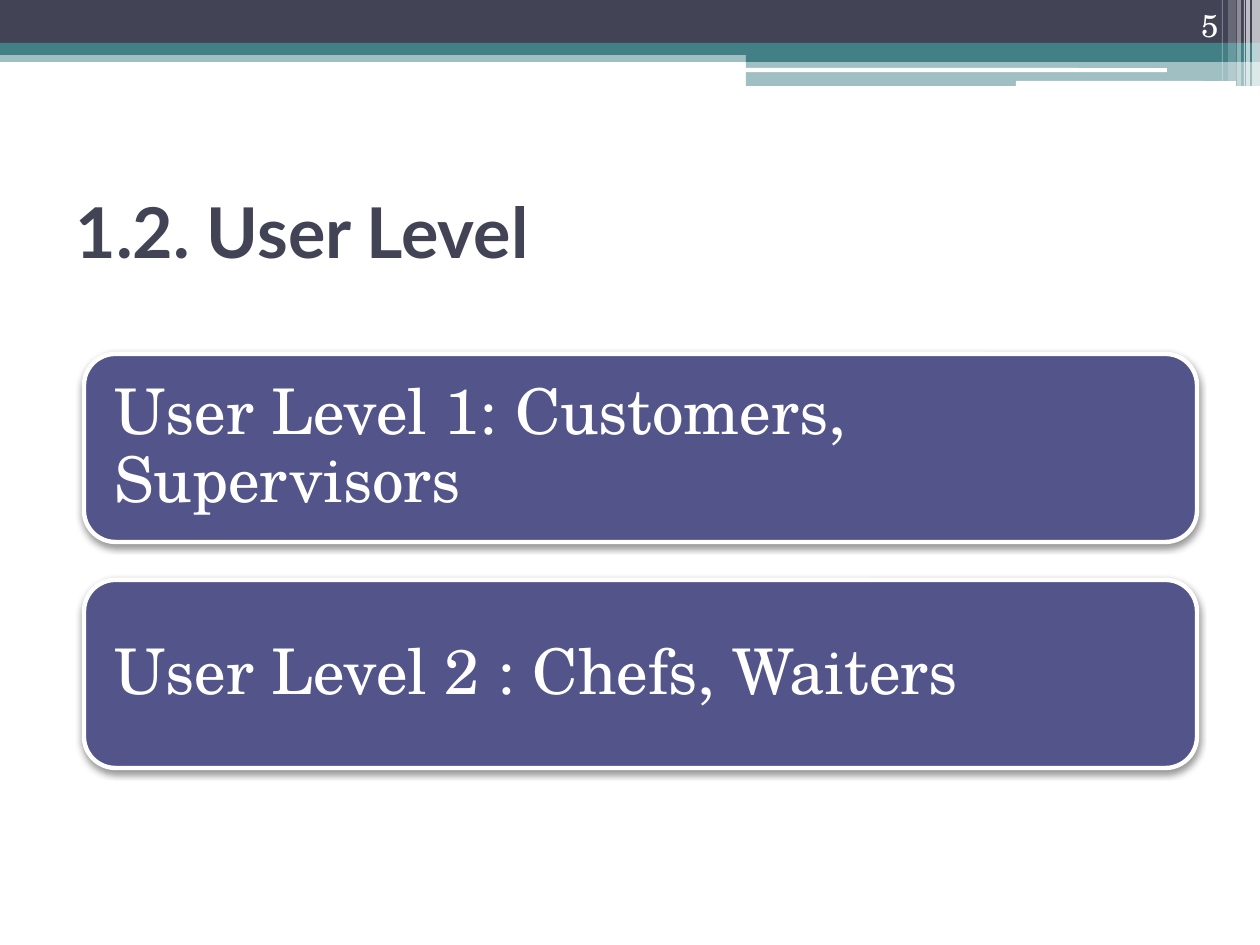
from lxml.etree import SubElement
from pptx import Presentation
from pptx.dml.color import RGBColor
from pptx.enum.shapes import MSO_SHAPE
from pptx.enum.text import MSO_ANCHOR, PP_ALIGN
from pptx.oxml import parse_xml
from pptx.oxml.ns import nsdecls, qn
from pptx.util import Emu, Pt

PX = 914400 / 126
WHITE = RGBColor(0xFF, 0xFF, 0xFF)
SLATE = RGBColor(0x42, 0x44, 0x56)
TEAL = RGBColor(0x43, 0x80, 0x86)
INDIGO = RGBColor(0x53, 0x54, 0x8A)
HEADING_FONT = "Lato"
BODY_FONT = "TeX Gyre Schola"

# Header bands: left, top, width, height, colour, opacity in percent
BANDS = [
    (0, 50, 1260, 12, TEAL, 50),
    (0, 0, 1260, 43, SLATE, 100),
    (0, 43, 1260, 12, TEAL, 100),
    (746, 49, 514, 13, TEAL, 100),
    (746, 61, 514, 25, TEAL, 50),
]
# White rules on the bands: left, top, width, height
RULES = [(745, 68, 422, 4), (1016, 81, 220, 5)]
# Upright stripes at the right edge: left, width, height, opacity
STRIPES = [
    (1252, 8, 86, 65),
    (1246, 4, 86, 65),
    (1244, 1, 86, 60),
    (1237, 4, 86, 40),
    (1228, 8, 81, 20),
    (1222, 1, 81, 30),
]
LEVELS = ["User Level 1: Customers, Supervisors", "User Level 2 : Chefs, Waiters"]


def px(*lengths):
    return [Emu(round(length * PX)) for length in lengths]


def add_block(page, kind, place, colour, opacity=100):
    """Add a filled shape without outline or shadow."""
    block = page.shapes.add_shape(kind, *px(*place))
    block.shadow.inherit = False
    block.fill.solid()
    block.fill.fore_color.rgb = colour
    block.line.fill.background()
    if opacity < 100:
        tint = block.fill._xPr.find(".//" + qn("a:srgbClr"))
        SubElement(tint, qn("a:alpha"), val=str(opacity * 1000))
    return block


def add_span(para, text, font, size, colour, bold=False):
    span = para.add_run()
    span.text = text
    span.font.name = font
    span.font.size = Pt(size)
    span.font.color.rgb = colour
    span.font.bold = bold


def set_margins(frame, across, down):
    frame.margin_left, frame.margin_right = px(across, across)
    frame.margin_top, frame.margin_bottom = px(down, down)


def add_soft_shadow(box):
    effects = box._element.spPr.find(qn("a:effectLst"))
    effects.append(parse_xml(
        f'<a:outerShdw {nsdecls("a")} blurRad="{Pt(4.1)}" dist="{Pt(2)}" '
        'dir="5400000" rotWithShape="0"><a:srgbClr val="000000">'
        '<a:alpha val="40000"/></a:srgbClr></a:outerShdw>'))


def add_header(page):
    for *place, colour, opacity in BANDS:
        add_block(page, MSO_SHAPE.RECTANGLE, place, colour, opacity)
    for place in RULES:
        add_block(page, MSO_SHAPE.ROUNDED_RECTANGLE, place, WHITE)
    for left, width, height, opacity in STRIPES:
        add_block(page, MSO_SHAPE.RECTANGLE, (left, 0, width, height), WHITE, opacity)


def add_title(page, text):
    title = page.shapes.title
    title.left, title.top, title.width, title.height = px(63, 157, 1134, 148)
    frame = title.text_frame
    frame.vertical_anchor = MSO_ANCHOR.MIDDLE
    para = frame.paragraphs[0]
    para.alignment = PP_ALIGN.LEFT
    add_span(para, text, HEADING_FONT, 40, SLATE, bold=True)


def add_page_number(page, text):
    box = page.shapes.add_textbox(*px(1126, 0, 105, 50))
    frame = box.text_frame
    frame.word_wrap = True
    frame.vertical_anchor = MSO_ANCHOR.BOTTOM
    para = frame.paragraphs[0]
    para.alignment = PP_ALIGN.RIGHT
    add_span(para, text, BODY_FONT, 18, WHITE)


def add_level(page, top, text):
    box = add_block(page, MSO_SHAPE.ROUNDED_RECTANGLE, (84, top, 1113, 188), INDIGO)
    box.line.color.rgb = WHITE
    box.line.width = Pt(2.5)
    add_soft_shadow(box)
    frame = box.text_frame
    frame.word_wrap = True
    frame.vertical_anchor = MSO_ANCHOR.MIDDLE
    # The rounded corners add about 7 px to each side margin
    set_margins(frame, 21, 21)
    para = frame.paragraphs[0]
    para.alignment = PP_ALIGN.LEFT
    para.line_spacing = 0.9
    add_span(para, text, BODY_FONT, 36, WHITE)


def main():
    deck = Presentation()
    deck.slide_width, deck.slide_height = px(1260, 945)
    page = deck.slides.add_slide(deck.slide_layouts.get_by_name("Title Only"))

    add_header(page)
    add_title(page, "1.2. User Level")
    add_page_number(page, "5")
    for index, text in enumerate(LEVELS):
        add_level(page, 354 + index * 226, text)

    deck.save("out.pptx")


if __name__ == "__main__":
    main()
